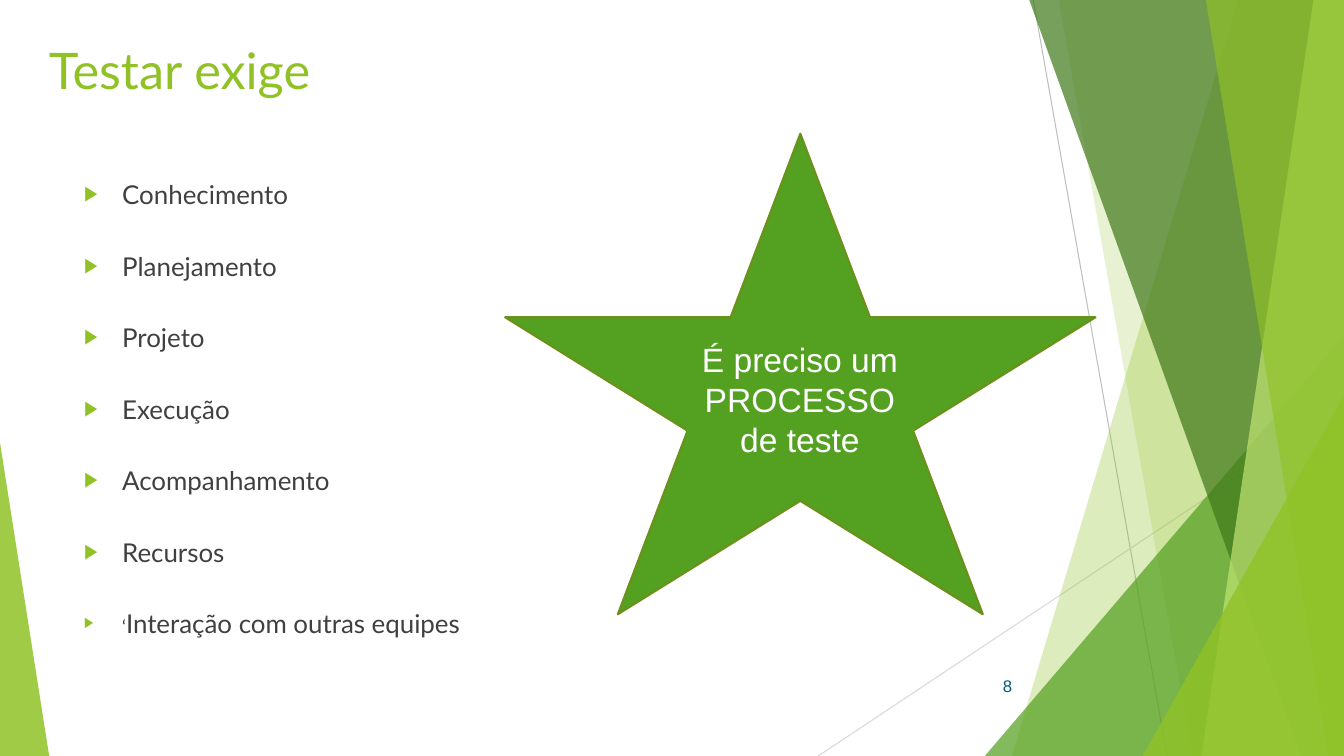
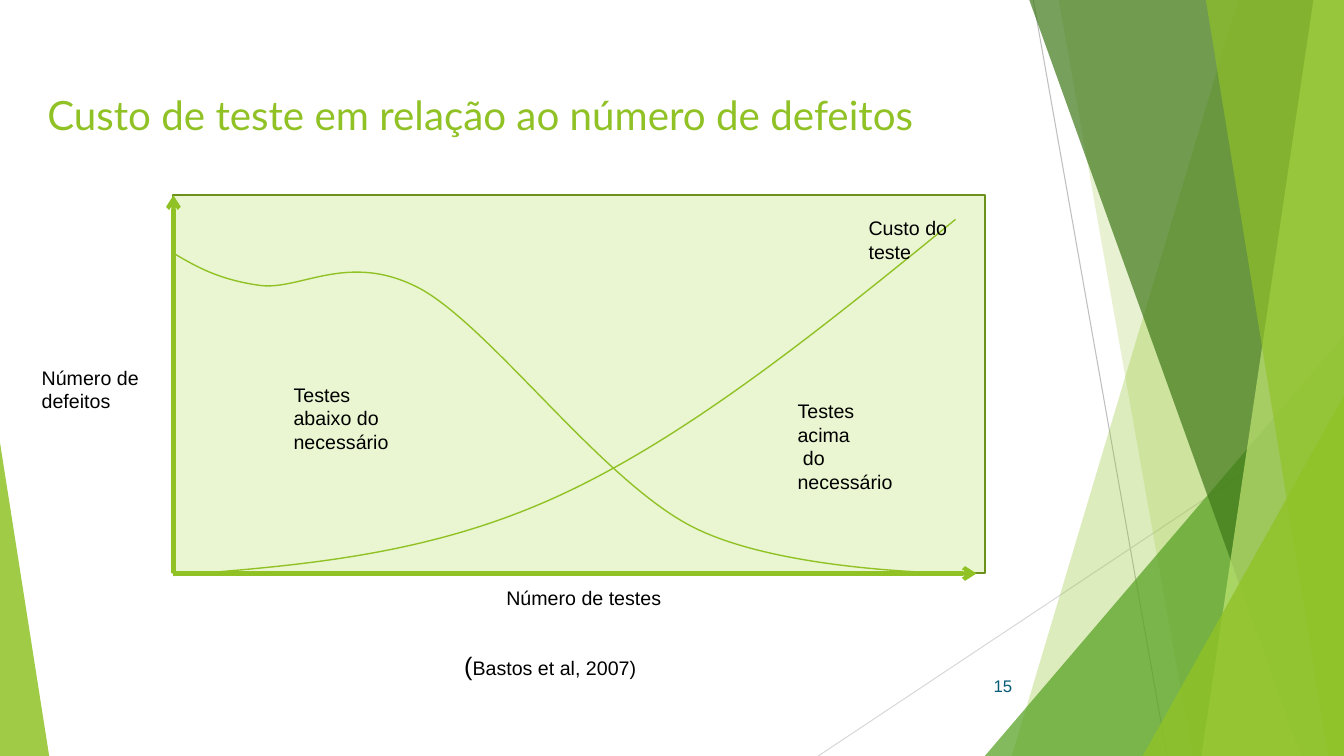
from dataclasses import dataclass

from pptx import Presentation
from pptx.dml.color import RGBColor
from pptx.enum.shapes import MSO_CONNECTOR, MSO_SHAPE
from pptx.enum.text import MSO_ANCHOR as Anchor, MSO_AUTO_SIZE, PP_ALIGN as Align
from pptx.oxml.ns import qn
from pptx.oxml.xmlchemy import OxmlElement
from pptx.util import Cm, Pt

Point = tuple[float, float]
Run = tuple[str, float]

# Shared look; all lengths are in centimetres
WIDTH, HEIGHT = 33.87, 19.05
LIME, GREEN, FOREST, PALE = "90C226", "54A021", "3F7819", "C0E474"
OLIVE, MINT = "6B901C", "EAF6D1"
BLACK, WHITE, GREY, TEAL = "000000", "FFFFFF", "404040", "045C75"
TITLE_FONT, TEXT_FONT = "Lato", "Arial"


@dataclass(frozen=True)
class Box:
    left: float
    top: float
    width: float
    height: float

    def emu(self) -> tuple:
        return Cm(self.left), Cm(self.top), Cm(self.width), Cm(self.height)


@dataclass(frozen=True)
class Pane:
    """Band from a slanted left edge to the right side of the slide."""
    top_x: float
    bottom_x: float
    color: str
    opacity: int


@dataclass(frozen=True)
class Wedge:
    """Right triangle with its apex at one end of the top side."""
    box: Box
    apex: int
    color: str
    opacity: int


@dataclass(frozen=True)
class Label:
    box: Box
    lines: list[str | list[Run]]


DECOR = [
    Pane(31.2, 25.5, LIME, 30),
    Pane(26.68, 30.05, LIME, 20),
    Wedge(Box(24.82, 8.46, 9.05, 10.59), 1, GREEN, 72),
    Pane(25.94, 32.79, FOREST, 70),
    Pane(33.1, 30.28, PALE, 70),
    Pane(30.39, 33.48, LIME, 65),
    Wedge(Box(28.8, 9.98, 5.07, 9.07), 1, LIME, 80),
    Wedge(Box(0, 11.15, 1.24, 7.9), 0, LIME, 85),
]
NUMBER_BOX = Box(23.86, 16.77, 1.9, 1.02)

REQUIREMENTS = [
    "Conhecimento", "Planejamento", "Projeto", "Execução", "Acompanhamento",
    "Recursos", [("‘", 12.9), ("Interação com outras equipes", 18.5)],
]

# Each curve is a start point followed by Bézier triples
PLOT = Box(4.37, 4.92, 20.45, 9.53)
COST_CURVE = [
    (4.37, 14.5), (7.59, 14.25), (10.8, 14), (14.07, 12.5),
    (17.35, 11), (20.73, 8.26), (24.08, 5.53),
]
DEFECT_CURVE = [
    (4.37, 6.38), (4.93, 6.71), (5.49, 7.04), (6.53, 7.19),
    (7.57, 7.34), (8.79, 6.3), (10.62, 7.29),
    (12.42, 8.31), (15.14, 12.07), (17.42, 13.26),
    (19.71, 14.45), (24.28, 14.45), (24.28, 14.45),
]
PLOT_LABELS = [
    Label(Box(0.8, 9.09, 2.97, 1.45), ["Número de defeitos"]),
    Label(Box(7.15, 9.52, 2.97, 2.06), ["Testes abaixo do necessário"]),
    Label(Box(19.85, 9.93, 2.97, 2.64), ["Testes acima", " do necessário"]),
    Label(Box(21.64, 5.32, 2.97, 1.45), ["Custo do teste"]),
    Label(Box(12.51, 14.64, 4.75, 0.86), ["Número de testes"]),
    Label(Box(11.45, 16.26, 5.56, 1.02), [[("(", 18), ("Bastos et al, 2007)", 14)]]),
]


def rgb(color: str) -> RGBColor:
    return RGBColor.from_string(color)


def write(tf, lines: list[str | list[Run]], *, size: float = 14, color: str = BLACK,
          font: str = TEXT_FONT, align=Align.LEFT, anchor=Anchor.TOP) -> None:
    """Fill a text frame; a line is plain text or a list of sized runs."""
    tf.word_wrap = True
    tf.auto_size = MSO_AUTO_SIZE.NONE
    tf.vertical_anchor = anchor
    for i, line in enumerate(lines):
        p = tf.add_paragraph() if i else tf.paragraphs[0]
        p.alignment = align
        for text, run_size in [(line, size)] if isinstance(line, str) else line:
            r = p.add_run()
            r.text = text
            r.font.size, r.font.name = Pt(run_size), font
            r.font.color.rgb = rgb(color)


def add_text(s, box: Box, lines: list[str | list[Run]], **text_format):
    tf = s.shapes.add_textbox(*box.emu()).text_frame
    write(tf, lines, **text_format)
    return tf


def paint(sp, fill: str | None = None, line: str | None = None,
          width: float = 1, opacity: int = 100) -> None:
    sp.shadow.inherit = False
    if fill:
        sp.fill.solid()
        sp.fill.fore_color.rgb = rgb(fill)
        if opacity < 100:
            alpha = OxmlElement("a:alpha")
            alpha.set("val", str(opacity * 1000))
            sp.fill._xPr.find(qn("a:solidFill"))[0].append(alpha)
    else:
        sp.fill.background()
    if line:
        sp.line.color.rgb = rgb(line)
        sp.line.width = Pt(width)
    else:
        sp.line.fill.background()


def add_shape(s, kind, box: Box, **look):
    sp = s.shapes.add_shape(kind, *box.emu())
    paint(sp, **look)
    return sp


def add_outline(s, points: list[Point], close: bool, **look):
    (x, y), *rest = [(Cm(px), Cm(py)) for px, py in points]
    builder = s.shapes.build_freeform(x, y)
    builder.add_line_segments(rest, close=close)
    sp = builder.convert_to_shape()
    paint(sp, **look)
    return sp


def add_curve(s, knots: list[Point], color: str) -> None:
    """Draw the knots as an outline, then turn each three steps into one Bézier."""
    sp = add_outline(s, knots, False, line=color)
    steps = sp._element.xpath(".//a:lnTo")
    for i in range(0, len(steps), 3):
        bezier = OxmlElement("a:cubicBezTo")
        steps[i].addprevious(bezier)
        for step in steps[i:i + 3]:
            bezier.append(step[0])
            step.getparent().remove(step)


def add_line(s, start: Point, end: Point, color: str, width: float, arrow: bool = False):
    cxn = s.shapes.add_connector(MSO_CONNECTOR.STRAIGHT, *map(Cm, start + end))
    cxn.line.color.rgb = rgb(color)
    cxn.line.width = Pt(width)
    if arrow:
        head = OxmlElement("a:tailEnd")
        head.set("type", "arrow")
        cxn.line._get_or_add_ln().append(head)
    cxn._element.spPr.append(OxmlElement("a:effectLst"))
    return cxn


def decorate_layout(s) -> None:
    """Draw the shared decoration and move it to the layout of the slide."""
    parts = [
        add_line(s, (26.04, 0), (29.41, HEIGHT), "BFBFBF", 0.75),
        add_line(s, (WIDTH, 10.24), (20.62, HEIGHT), "D9D9D9", 0.75),
    ]
    for item in DECOR:
        look = dict(fill=item.color, opacity=item.opacity)
        if isinstance(item, Pane):
            corners = [(item.top_x, 0), (WIDTH, 0), (WIDTH, HEIGHT), (item.bottom_x, HEIGHT)]
            sp = add_outline(s, corners, True, **look)
        else:
            sp = add_shape(s, MSO_SHAPE.ISOSCELES_TRIANGLE, item.box, **look)
            sp.adjustments[0] = item.apex
        parts.append(sp)
    for shape_id, sp in enumerate(parts, start=100):
        sp._element.xpath(".//p:cNvPr")[0].set("id", str(shape_id))
        s.slide_layout.shapes._spTree.append(sp._element)


def add_slide(prs, number: int, title: str, box: Box, size: float, anchor):
    s = prs.slides.add_slide(prs.slide_layouts[5])
    sp = s.shapes.title
    sp.left, sp.top, sp.width, sp.height = box.emu()
    write(sp.text_frame, [title], size=size, color=LIME, font=TITLE_FONT, anchor=anchor)
    add_text(s, NUMBER_BOX, [str(number)], size=12, color=TEAL,
             align=Align.RIGHT, anchor=Anchor.MIDDLE)
    return s


def add_bullet(p) -> None:
    pPr = p._p.get_or_add_pPr()
    pPr.set("marL", str(Cm(0.96)))
    pPr.set("indent", str(-Cm(0.96)))
    color = OxmlElement("a:buClr")
    value = OxmlElement("a:srgbClr")
    value.set("val", LIME)
    color.append(value)
    size = OxmlElement("a:buSzPct")
    size.set("val", "80000")
    font = OxmlElement("a:buFont")
    font.set("typeface", TEXT_FONT)
    char = OxmlElement("a:buChar")
    char.set("char", "▶")
    pPr.extend([color, size, font, char])


def fill_requirements(s) -> None:
    tf = add_text(s, Box(1.87, 4.6, 11.63, 12.19), REQUIREMENTS,
                  size=18.5, color=GREY, font=TITLE_FONT)
    for i, p in enumerate(tf.paragraphs):
        p.line_spacing = 0.7
        p.space_before = Pt(35.5 if i else 0)
        add_bullet(p)
    # Star with its message
    add_shape(s, MSO_SHAPE.STAR_5_POINT, Box(12.73, 3.37, 14.88, 12.11),
              fill=GREEN, line=OLIVE, width=1.5)
    message = add_shape(s, MSO_SHAPE.RECTANGLE, Box(17.29, 8.41, 5.74, 3.33), fill=GREEN)
    write(message.text_frame, ["É preciso um PROCESSO", "de teste"],
          size=24, color=WHITE, align=Align.CENTER)


def fill_cost_plot(s) -> None:
    add_shape(s, MSO_SHAPE.RECTANGLE, PLOT, fill=MINT, line=OLIVE, width=1.5)
    # Axes
    origin = (PLOT.left, PLOT.top + PLOT.height)
    for end in ((PLOT.left, PLOT.top), (24.61, origin[1])):
        add_line(s, origin, end, LIME, 3, arrow=True)
    # Curves and labels
    for knots in (COST_CURVE, DEFECT_CURVE):
        add_curve(s, knots, LIME)
    for label in PLOT_LABELS:
        add_text(s, label.box, label.lines)


def main() -> None:
    prs = Presentation()
    prs.slide_width, prs.slide_height = Cm(WIDTH), Cm(HEIGHT)
    s = add_slide(prs, 8, "Testar exige", Box(0.98, 0.86, 22.86, 3.17), 36, Anchor.TOP)
    decorate_layout(s)
    fill_requirements(s)
    s = add_slide(prs, 15, "Custo de teste em relação ao número de defeitos",
                  Box(0.94, 0.46, 24.13, 3.17), 28.8, Anchor.BOTTOM)
    fill_cost_plot(s)
    prs.save("out.pptx")


if __name__ == "__main__":
    main()
